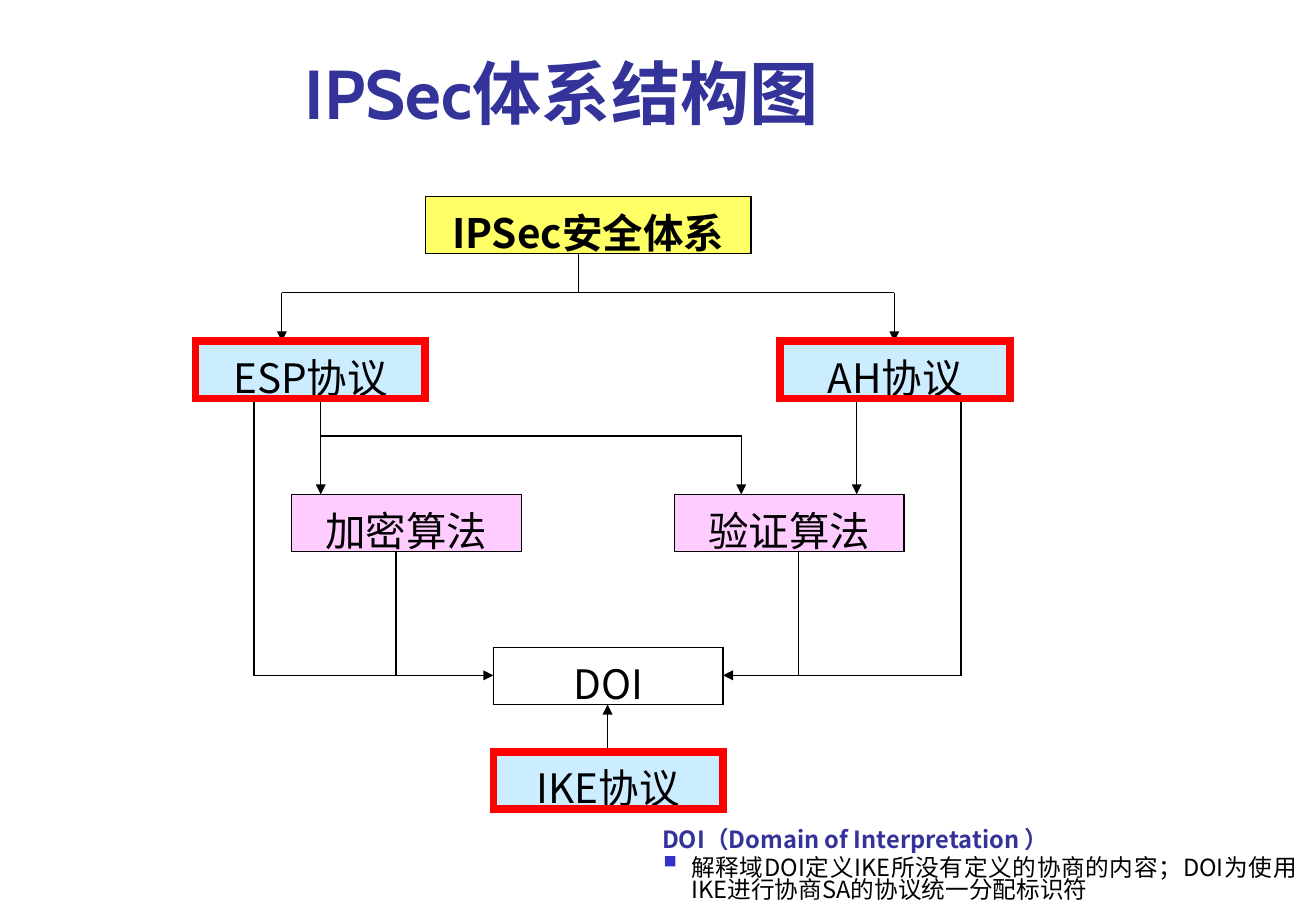
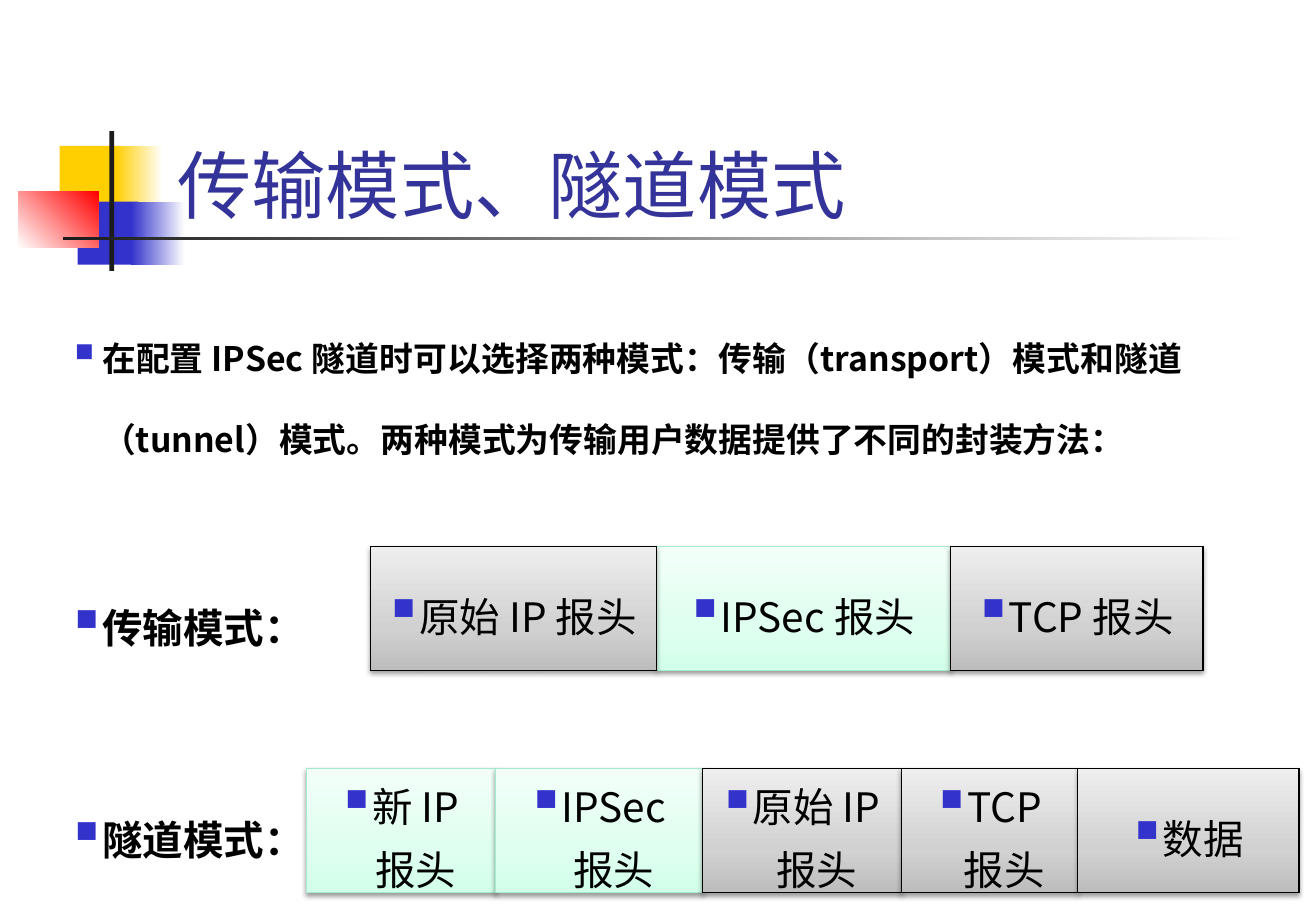
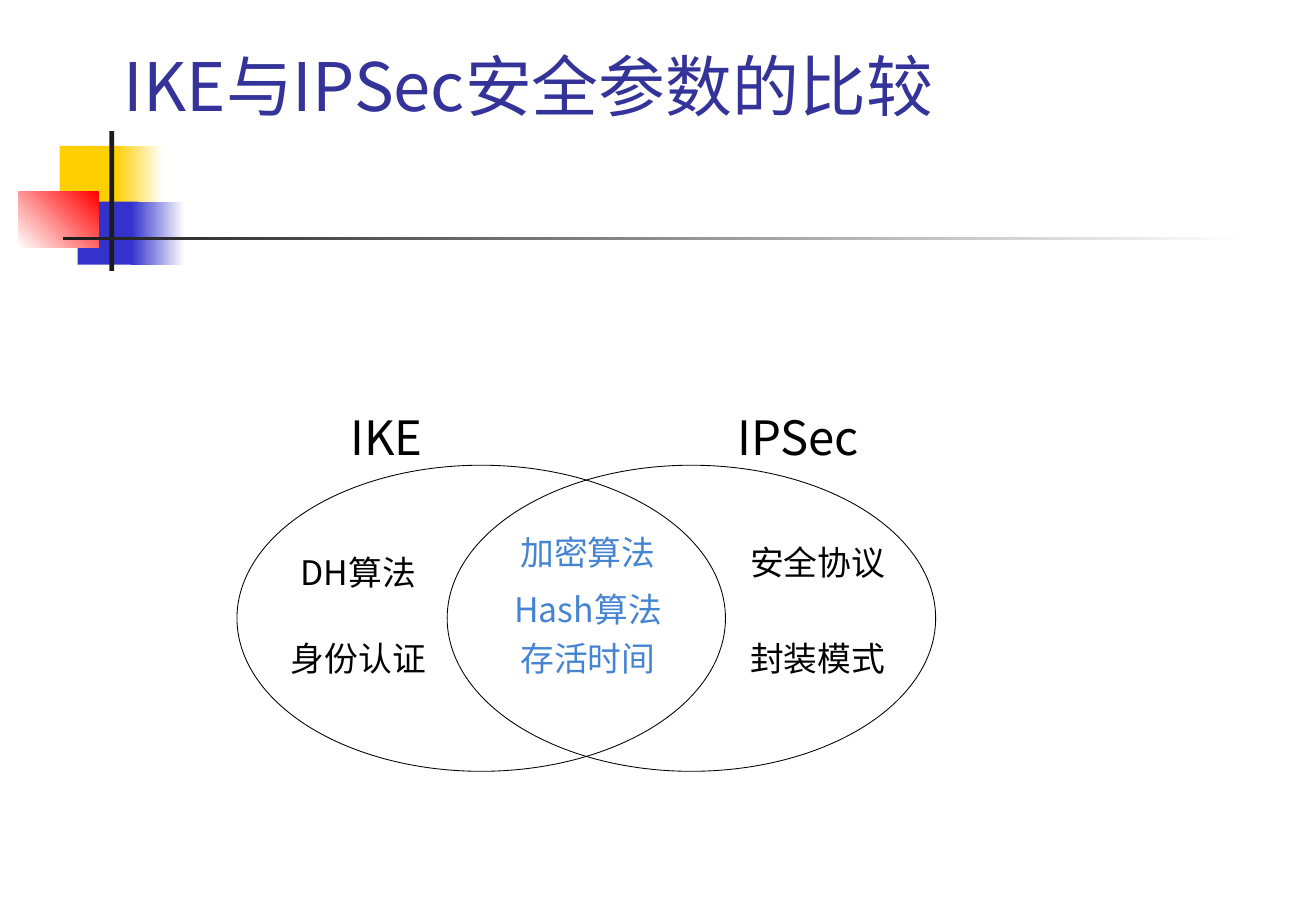
from copy import deepcopy
from itertools import accumulate

from lxml import etree
from pptx import Presentation
from pptx.dml.color import RGBColor
from pptx.enum.shapes import MSO_CONNECTOR as CONNECTOR, MSO_SHAPE as SHAPE
from pptx.enum.text import MSO_ANCHOR as ANCHOR, MSO_AUTO_SIZE as AUTO_SIZE, PP_ALIGN as ALIGN
from pptx.oxml.ns import qn
from pptx.util import Inches, Pt

CABIN, NOTO = "Cabin", "Noto Sans CJK SC"
BLACK, WHITE, RED = "000000", "FFFFFF", "FF0000"
NAVY, BLUE, GOLD, DARK = "333399", "3333CC", "FFCF01", "1C1C1C"
SKY, PINK, YELLOW, SHARED_BLUE = "CCECFF", "FFCCFF", "FFFF66", "4584D3"
HANGING = 0.24
GREEN_STYLE = ([(0, "D2FFEA"), (0.35, "DFFFF0"), (1, "F2FFF9")], "A5EBCD")
GREY_STYLE = ([(0, "BDBDBD"), (0.35, "D1D1D1"), (1, "EEEEEE")], BLACK)


def rgb(color):
    return RGBColor.from_string(color)


def inches(*lengths):
    return [Inches(length) for length in lengths]


def set_all(target, values):
    for name, value in values.items():
        setattr(target, name, value)


def add_xml(parent, tag, **attributes):
    return etree.SubElement(parent, qn(tag), attributes)


def write(para, text, size, color=BLACK, bold=False, font=NOTO, **para_format):
    set_all(para, para_format)
    span = para.add_run()
    span.text = text
    set_all(span.font, {"size": Pt(size), "bold": bold, "name": font})
    span.font.color.rgb = rgb(color)
    add_xml(span._r.get_or_add_rPr(), "a:ea", typeface=font)


def add_bullet(para):
    """Adds a small square, which is the section sign of the symbol font."""
    props = para._p.get_or_add_pPr()
    props.set("marL", str(Inches(HANGING)))
    props.set("indent", str(-Inches(HANGING)))
    add_xml(add_xml(props, "a:buClr"), "a:srgbClr", val=BLUE)
    add_xml(props, "a:buSzPct", val="150000")
    add_xml(props, "a:buFont", typeface="Wingdings", charset="2")
    add_xml(props, "a:buChar", char="§")


def set_frame(box, anchor=ANCHOR.TOP, wrap=True, margins=(0.1, 0.05, 0.1, 0.05)):
    frame = box.text_frame
    set_all(frame, {"auto_size": AUTO_SIZE.NONE, "word_wrap": wrap, "vertical_anchor": anchor})
    sides = ("margin_left", "margin_top", "margin_right", "margin_bottom")
    set_all(frame, dict(zip(sides, inches(*margins))))
    return frame


def place(box, *area):
    set_all(box, dict(zip(("left", "top", "width", "height"), inches(*area))))


def set_line(shape, color, width):
    shape.line.color.rgb = rgb(color)
    shape.line.width = Pt(width)
    add_xml(shape.element.spPr.find(qn("a:ln")), "a:miter", lim="800000")


def set_gradient(shape, stops, angle):
    """Angle runs counter-clockwise, from the first stop to the last."""
    shape.fill.gradient()
    shape.fill.gradient_angle = angle
    stop_list = next(shape.element.iter(qn("a:gsLst")))
    for _ in stops[2:]:
        stop_list.append(deepcopy(stop_list[0]))
    for stop, (position, color) in zip(shape.fill.gradient_stops, stops):
        stop.position = position
        stop.color.rgb = rgb(color)


def add_outline(shapes, area, kind=SHAPE.RECTANGLE, fill=None, line=BLACK, width=0.75):
    shape = shapes.add_shape(kind, *inches(*area))
    shape.shadow.inherit = False
    if fill:
        shape.fill.solid()
        shape.fill.fore_color.rgb = rgb(fill)
    else:
        shape.fill.background()
    if line:
        set_line(shape, line, width)
    else:
        shape.line.fill.background()
    return shape


def set_title(page, text, area, size, **text_format):
    title = page.shapes.title
    place(title, *area)
    para = set_frame(title, ANCHOR.BOTTOM).paragraphs[0]
    write(para, text, size, NAVY, **{"font": CABIN, "alignment": ALIGN.LEFT, **text_format})


def add_master_marks(deck, page):
    """Draws the coloured squares and the rule, then moves them to the master."""
    marks = [
        ((0.49, 1.2, 0.52, 0.52), GOLD, None),
        ((0.95, 1.2, 0.39, 0.52), GOLD, WHITE),
        ((0.64, 1.66, 0.5, 0.52), BLUE, None),
        ((1.08, 1.66, 0.44, 0.52), BLUE, WHITE),
        ((0.15, 1.58, 0.66, 0.46), WHITE, RED),
        ((0.9, 1.08, 0.04, 1.15), DARK, None),
        ((0.52, 1.95, 9.75, 0.03), DARK, WHITE),
    ]
    master_tree = deck.slide_master.shapes.element
    for order, (area, start, end) in enumerate(marks):
        mark = add_outline(page.shapes, area, fill=start, line=None)
        if end:
            set_gradient(mark, [(0, start), (1, end)], 45 if end == RED else 0)
        mark.element.xpath("p:nvSpPr/p:cNvPr")[0].set("id", str(20 + order))
        master_tree.insert(2 + order, mark.element)


def add_path(page, *points, arrow=True):
    """Draws a connector through two points, or an open outline through more."""
    start, *others = [inches(*point) for point in points]
    if len(others) == 1:
        path_line = page.shapes.add_connector(CONNECTOR.STRAIGHT, *start, *others[0])
        add_xml(path_line.element.spPr, "a:effectLst")
    else:
        builder = page.shapes.build_freeform(*start)
        builder.add_line_segments(others, close=False)
        path_line = builder.convert_to_shape()
        path_line.fill.background()
        path_line.shadow.inherit = False
    set_line(path_line, BLACK, 0.75)
    if arrow:
        add_xml(path_line.element.spPr.find(qn("a:ln")), "a:tailEnd", type="triangle")


def add_architecture(page):
    width, height = 1.89, 0.47
    top_y, protocol_y, algorithm_y, doi_y, ike_y = 1.62, 2.81, 4.07, 5.33, 6.19
    esp_x, ah_x, doi_x = 1.61, 6.42, 4.06
    boxes = [
        ("IKE协议", doi_x, ike_y, width, SKY),
        ("AH协议", ah_x, protocol_y, width, SKY),
        ("ESP协议", esp_x, protocol_y, width, SKY),
        ("加密算法", 2.4, algorithm_y, width, PINK),
        ("验证算法", 5.55, algorithm_y, width, PINK),
        ("IPSec安全体系", 3.5, top_y, 2.68, YELLOW),
        ("DOI", doi_x, doi_y, width, None),
    ]
    for text, left, top, box_width, fill in boxes:
        box = add_outline(page.shapes, (left, top, box_width, height), fill=fill)
        para = set_frame(box, ANCHOR.MIDDLE, wrap=False).paragraphs[0]
        write(para, text, 24, bold=fill == YELLOW, alignment=ALIGN.CENTER, line_spacing=1.3)

    branch_y, split_y, join_y = 2.41, 3.59, 5.56
    protocol_end, algorithm_end = protocol_y + height, algorithm_y + height
    add_path(page, (4.76, top_y + height), (4.76, branch_y), arrow=False)
    add_path(page, (2.32, branch_y), (7.36, branch_y), arrow=False)
    for x in (2.32, 7.36):
        add_path(page, (x, branch_y), (x, protocol_y))
    for x in (2.64, 7.05):
        add_path(page, (x, protocol_end), (x, algorithm_y))
    add_path(page, (2.64, split_y), (6.1, split_y), (6.1, algorithm_y))
    for x in (3.26, 6.57):
        add_path(page, (x, algorithm_end), (x, join_y), arrow=False)
    for x, doi_edge in ((2.09, doi_x), (7.91, doi_x + width)):
        add_path(page, (x, protocol_end), (x, join_y), (doi_edge, join_y))
    add_path(page, (5, ike_y), (5, doi_y + height))
    for left, top in ((esp_x, protocol_y), (ah_x, protocol_y), (doi_x, ike_y)):
        add_outline(page.shapes, (left, top, width, height), line=RED, width=4.5)


def add_doi_note(page, area):
    frame = set_frame(page.shapes.add_textbox(*inches(*area)))
    write(frame.paragraphs[0], "DOI（Domain of Interpretation ）", 14, NAVY, bold=True)
    para = frame.add_paragraph()
    add_bullet(para)
    write(para, "解释域DOI定义IKE所没有定义的协商的内容；DOI为使用IKE进行协商SA的协议统一分配标识符",
          14, alignment=ALIGN.JUSTIFY, line_spacing=0.8, space_before=Pt(3))


def add_mode_list(page, area):
    body = page.placeholders[1]
    place(body, *area)
    frame = set_frame(body, margins=(0.2, 0.1, 0.2, 0.1))
    items = [
        ("在配置 IPSec 隧道时可以选择两种模式：传输（transport）模式和隧道（tunnel）模式。"
         "两种模式为传输用户数据提供了不同的封装方法：", 20, 0),
        ("传输模式：", 24, 56),
        ("隧道模式：", 24, 68),
    ]
    for order, (text, size, gap) in enumerate(items):
        para = frame.add_paragraph() if order else frame.paragraphs[0]
        add_bullet(para)
        write(para, text, size, bold=True, alignment=ALIGN.JUSTIFY,
              line_spacing=2.0, space_before=Pt(gap))


def add_soft_shadow(shape):
    effects = shape.element.spPr.find(qn("a:effectLst"))
    shadow = add_xml(effects, "a:outerShdw", blurRad=str(Pt(3.1)), dist=str(Pt(1.6)),
                     dir="5400000", rotWithShape="0")
    add_xml(add_xml(shadow, "a:srgbClr", val=BLACK), "a:alpha", val="38000")


def add_packet(page, left, top, cells):
    """Draws header cells side by side, the green ones behind the grey ones."""
    group = page.shapes.add_group_shape()
    lefts = accumulate((width for _, width, _ in cells), initial=left)
    placed = sorted(zip(lefts, cells), key=lambda item: item[1][2] is GREY_STYLE)
    for cell_left, (text, width, (stops, line)) in placed:
        cell = add_outline(group.shapes, (cell_left, top, width, 1.02), line=line)
        set_gradient(cell, stops, 90)
        add_soft_shadow(cell)
        para = set_frame(cell, ANCHOR.MIDDLE).paragraphs[0]
        add_bullet(para)
        write(para, text, 24, alignment=ALIGN.CENTER, line_spacing=1.3)


def add_venn(page, left, top):
    """Draws both parameter sets, offset from the corner of the left ellipse."""
    for shift in (0, 1.73):
        add_outline(page.shapes, (left + shift, top, 4.02, 2.52), SHAPE.OVAL, width=0.5)
    labels = [
        ("加密算法", 2.13, 0.55, 20, SHARED_BLUE),
        ("Hash算法", 2.13, 1.02, 20, SHARED_BLUE),
        ("存活时间", 2.13, 1.42, 20, SHARED_BLUE),
        ("DH算法", 0.24, 0.71, 20, BLACK),
        ("身份认证", 0.24, 1.42, 20, BLACK),
        ("安全协议", 4.02, 0.63, 20, BLACK),
        ("封装模式", 4.02, 1.42, 20, BLACK),
        ("IKE", 0.47, -0.47, 28, BLACK),
        ("IPSec", 3.86, -0.47, 28, BLACK),
    ]
    for text, x, y, size, color in labels:
        height = 0.33 if size == 20 else 0.47
        label = page.shapes.add_textbox(*inches(left + x, top + y, 1.42, height))
        para = set_frame(label, margins=(0.1, 0, 0, 0)).paragraphs[0]
        write(para, text, size, color, alignment=ALIGN.CENTER)


def build_architecture_slide(deck):
    page = deck.slides.add_slide(deck.slide_layouts[5])
    page.element.set("showMasterSp", "0")
    set_title(page, "IPSec体系结构图", (0.5, 0.13, 8.25, 1.02), 41, bold=True, alignment=ALIGN.CENTER)
    add_architecture(page)
    add_doi_note(page, (5.35, 6.74, 5.42, 0.76))


def build_modes_slide(deck):
    page = deck.slides.add_slide(deck.slide_layouts[1])
    add_master_marks(deck, page)
    set_title(page, "传输模式、隧道模式", (1.36, 0.68, 9.23, 1.25), 44)
    add_mode_list(page, (0.4, 2.35, 9.53, 4.95))
    add_packet(page, 3.05, 4.5, [
        ("原始 IP 报头", 2.35, GREY_STYLE),
        ("IPSec 报头", 2.42, GREEN_STYLE),
        ("TCP 报头", 2.08, GREY_STYLE),
    ])
    add_packet(page, 2.52, 6.33, [
        ("新 IP 报头", 1.56, GREEN_STYLE),
        ("IPSec 报头", 1.7, GREEN_STYLE),
        ("原始 IP 报头", 1.64, GREY_STYLE),
        ("TCP 报头", 1.45, GREY_STYLE),
        ("数据", 1.82, GREY_STYLE),
    ])


def build_comparison_slide(deck):
    page = deck.slides.add_slide(deck.slide_layouts[5])
    set_title(page, "IKE与IPSec安全参数的比较", (0.92, 0.29, 9, 0.79), 39.6, font=NOTO)
    add_venn(page, 1.95, 3.83)


def main():
    deck = Presentation()
    deck.slide_width, deck.slide_height = inches(10.83, 7.5)
    build_architecture_slide(deck)
    build_modes_slide(deck)
    build_comparison_slide(deck)
    deck.save("out.pptx")


if __name__ == "__main__":
    main()
